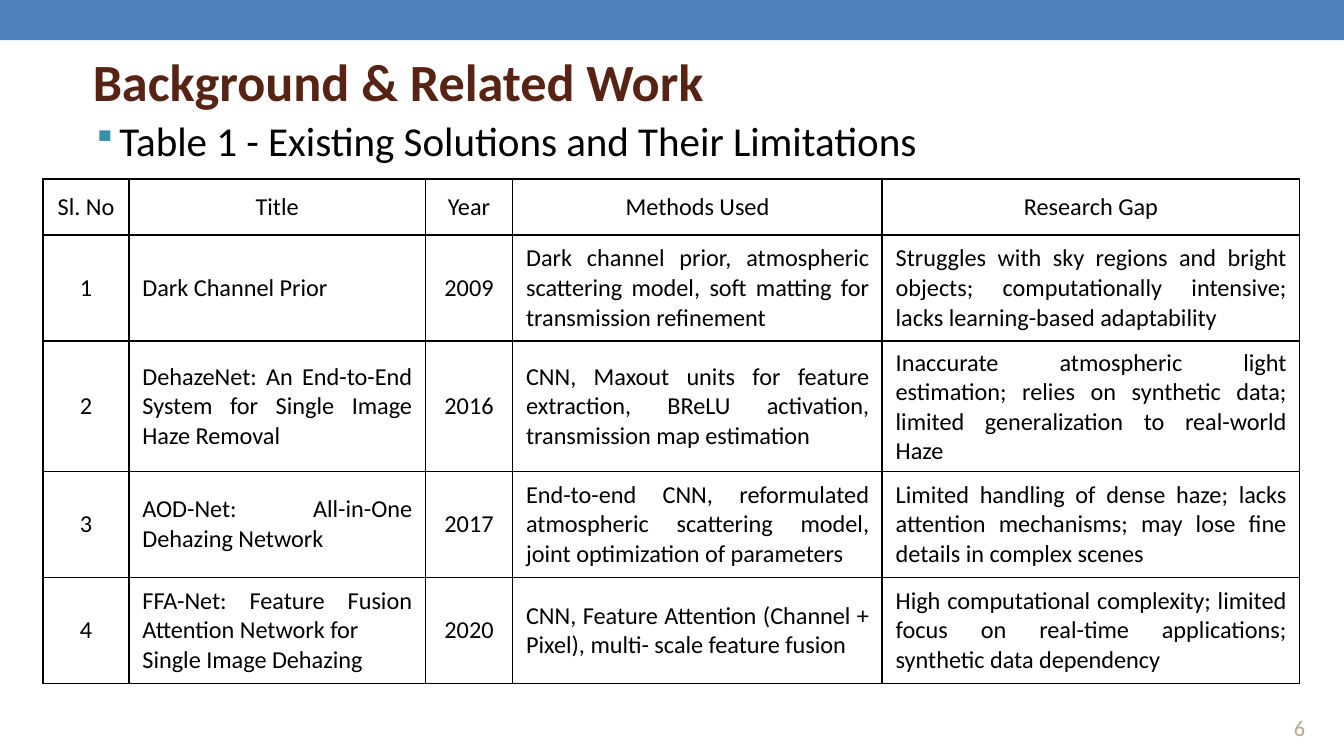
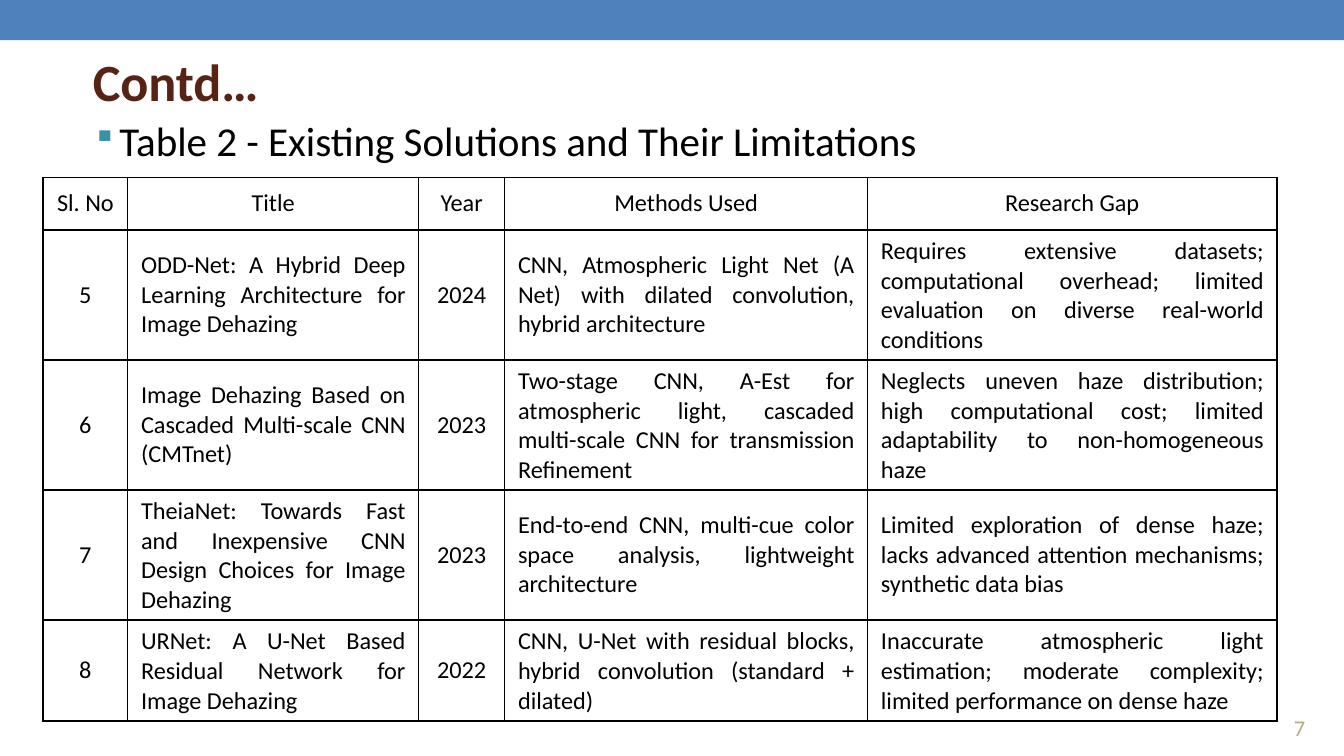
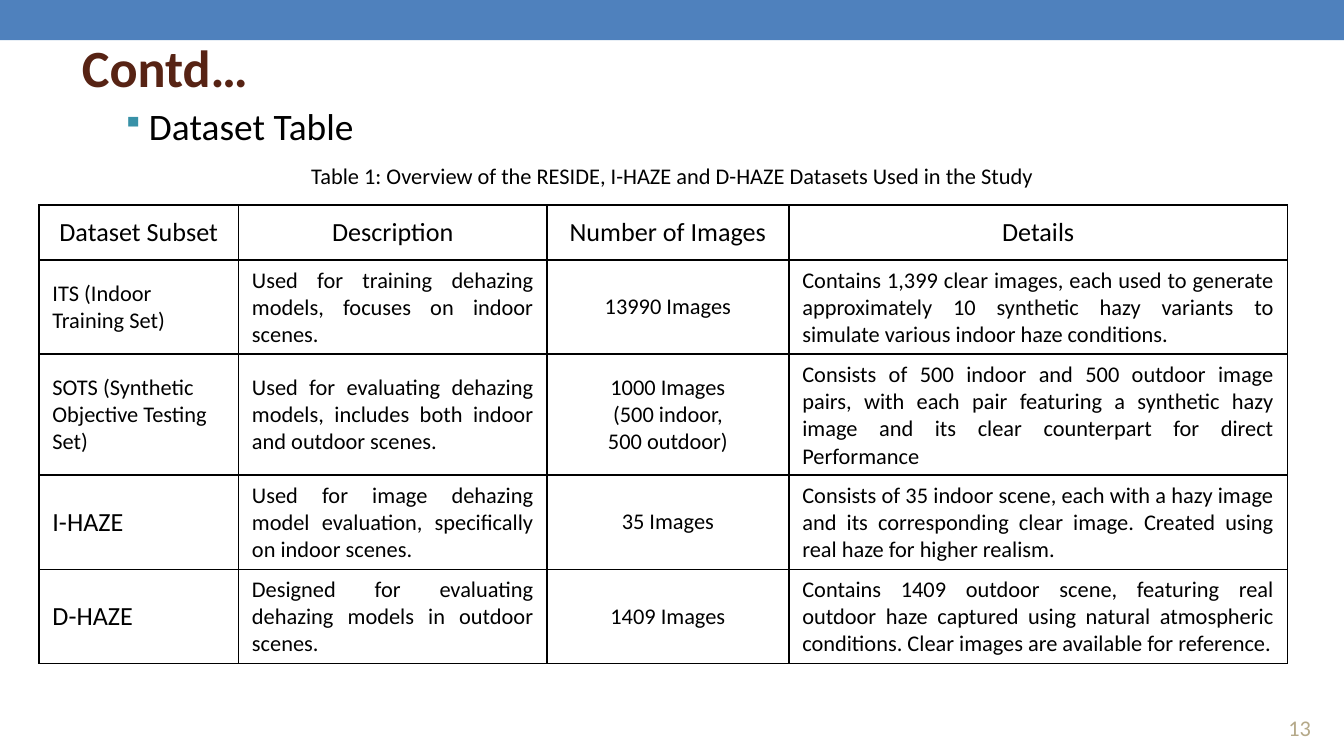
"""Build three table slides on image dehazing research."""
from dataclasses import dataclass
from typing import NamedTuple

from lxml import etree
from pptx import Presentation
from pptx import util as u
from pptx.dml import color as c
from pptx.enum import shapes, text as t
from pptx.oxml import ns
from pptx.slide import Slide
from pptx.text.text import TextFrame

EMU_PER_PX = 4572
SLIDE_WIDTH, SLIDE_HEIGHT = 2000, 1125
FONT = "Calibri"
BAND, TITLE, BULLET, NUMBER, INK = "4F81BD", "572314", "3891A7", "B5A989", "000000"
ALIGNMENTS = {
    "l": t.PP_ALIGN.LEFT,
    "c": t.PP_ALIGN.CENTER,
    "j": t.PP_ALIGN.JUSTIFY,
}
SURVEY_HEADER = ("Sl. No", "Title", "Year", "Methods Used", "Research Gap")


class Box(NamedTuple):
    left: int
    top: int
    width: int
    height: int

    def emu(self) -> list[u.Emu]:
        return [px(length) for length in self]


@dataclass
class Grid:
    box: Box
    columns: tuple[int, ...]
    rows: tuple[int, ...]
    alignments: str
    header: tuple[str, ...]
    body: list[tuple[str, ...]]
    header_size: int = 13
    body_size: int = 13
    large_labels: tuple[str, ...] = ()


@dataclass
class TableSlide:
    title: str
    subtitle: str
    number: int
    grid: Grid
    title_box: Box = Box(118, 56, 1814, 128)
    subtitle_box: Box = Box(118, 162, 1836, 78)
    subtitle_size: int = 22
    caption: str = ""


def px(length: int) -> u.Emu:
    return u.Emu(length * EMU_PER_PX)


def rgb(value: str) -> c.RGBColor:
    return c.RGBColor.from_string(value)


def add_bullet(paragraph) -> None:
    properties = paragraph._p.get_or_add_pPr()
    properties.set("marL", str(px(40)))
    properties.set("indent", str(px(-52)))
    bullet_color = etree.SubElement(properties, ns.qn("a:buClr"))
    etree.SubElement(bullet_color, ns.qn("a:srgbClr"), val=BULLET)
    etree.SubElement(properties, ns.qn("a:buSzPct"), val="80000")
    etree.SubElement(properties, ns.qn("a:buChar"), char="▪")


def write(frame: TextFrame, content: str, *, size: int, color: str = INK,
          bold: bool = False, align: str = "l", bullet: bool = False) -> None:
    frame.text = content
    for paragraph in frame.paragraphs:
        if bullet:
            add_bullet(paragraph)
        paragraph.alignment = ALIGNMENTS[align]
        for run in paragraph.runs:
            run.font.name = FONT
            run.font.size = u.Pt(size)
            run.font.bold = bold
            run.font.color.rgb = rgb(color)


def add_text(slide: Slide, box: Box, content: str, *, anchor=t.MSO_ANCHOR.TOP,
             wrap: bool = True, **text_format) -> None:
    frame = slide.shapes.add_textbox(*box.emu()).text_frame
    frame.word_wrap = wrap
    frame.vertical_anchor = anchor
    write(frame, content, **text_format)


def add_band(slide: Slide) -> None:
    box = Box(0, 0, SLIDE_WIDTH, 60)
    band = slide.shapes.add_shape(shapes.MSO_SHAPE.RECTANGLE, *box.emu())
    band.shadow.inherit = False
    band.fill.solid()
    band.fill.fore_color.rgb = rgb(BAND)
    band.line.fill.background()


def set_title(slide: Slide, box: Box, content: str) -> None:
    title = slide.shapes.title
    title.left, title.top, title.width, title.height = box.emu()
    frame = title.text_frame
    frame.word_wrap = True
    frame.auto_size = t.MSO_AUTO_SIZE.NONE
    frame.vertical_anchor = t.MSO_ANCHOR.MIDDLE
    write(frame, content, size=28, color=TITLE, bold=True)


def add_borders(cell) -> None:
    properties = cell._tc.get_or_add_tcPr()
    for position, side in enumerate(("lnL", "lnR", "lnT", "lnB")):
        line = etree.Element(ns.qn(f"a:{side}"), w=str(u.Pt(1)))
        fill = etree.SubElement(line, ns.qn("a:solidFill"))
        etree.SubElement(fill, ns.qn("a:srgbClr"), val=INK)
        properties.insert(position, line)


def add_grid(slide: Slide, grid: Grid) -> None:
    graphic = slide.shapes.add_table(len(grid.rows), len(grid.columns), *grid.box.emu())
    table = graphic.table
    table.first_row = table.horz_banding = False
    for column, width in zip(table.columns, grid.columns):
        column.width = px(width)
    for row, height in zip(table.rows, grid.rows):
        row.height = px(height)
    graphic.width, graphic.height = px(grid.box.width), px(grid.box.height)
    for row_index, values in enumerate([grid.header, *grid.body]):
        for column_index, value in enumerate(values):
            cell = table.cell(row_index, column_index)
            is_header = row_index == 0
            is_large = is_header or value in grid.large_labels
            cell.vertical_anchor = t.MSO_ANCHOR.MIDDLE
            cell.fill.background()
            add_borders(cell)
            write(cell.text_frame, value,
                  size=grid.header_size if is_large else grid.body_size,
                  align="c" if is_header else grid.alignments[column_index])


def add_table_slide(presentation, content: TableSlide) -> None:
    slide = presentation.slides.add_slide(presentation.slide_layouts[5])
    add_band(slide)
    set_title(slide, content.title_box, content.title)
    add_text(slide, content.subtitle_box, content.subtitle,
             size=content.subtitle_size, bullet=True)
    add_text(slide, Box(1884, 1035, 100, 78), str(content.number),
             anchor=t.MSO_ANCHOR.BOTTOM, size=12, color=NUMBER, align="c")
    add_grid(slide, content.grid)
    if content.caption:
        add_text(slide, Box(404, 232, 1194, 60), content.caption,
                 wrap=False, size=12, align="c")


SLIDES = [
    TableSlide(
        "Background & Related Work", "Table 1 - Existing Solutions and Their Limitations", 6,
        Grid(
            Box(64, 266, 1870, 714), (128, 441, 130, 550, 621), (84, 158, 158, 158, 158),
            "cjcjj", SURVEY_HEADER,
            [
                ("1", "Dark Channel Prior", "2009",
                 "Dark channel prior, atmospheric scattering model, soft matting for "
                 "transmission refinement",
                 "Struggles with sky regions and bright objects; computationally intensive; "
                 "lacks learning-based adaptability"),
                ("2", "DehazeNet: An End-to-End System for Single Image Haze Removal", "2016",
                 "CNN, Maxout units for feature extraction, BReLU activation, "
                 "transmission map estimation",
                 "Inaccurate atmospheric light estimation; relies on synthetic data; "
                 "limited generalization to real-world Haze"),
                ("3", "AOD-Net: All-in-One Dehazing Network", "2017",
                 "End-to-end CNN, reformulated atmospheric scattering model, "
                 "joint optimization of parameters",
                 "Limited handling of dense haze; lacks attention mechanisms; "
                 "may lose fine details in complex scenes"),
                ("4", "FFA-Net: Feature Fusion Attention Network for\nSingle Image Dehazing",
                 "2020",
                 "CNN, Feature Attention (Channel + Pixel), multi- scale feature fusion",
                 "High computational complexity; limited focus on real-time applications; "
                 "synthetic data dependency"),
            ],
        ),
    ),
    TableSlide(
        "Contd…", "Table 2 - Existing Solutions and Their Limitations", 7,
        Grid(
            Box(64, 264, 1836, 836), (126, 433, 128, 540, 609), (78, 188, 188, 188, 146),
            "cjcjj", SURVEY_HEADER,
            [
                ("5", "ODD-Net: A Hybrid Deep Learning Architecture for Image Dehazing", "2024",
                 "CNN, Atmospheric Light Net (A Net) with dilated convolution, "
                 "hybrid architecture",
                 "Requires extensive datasets; computational overhead; limited evaluation "
                 "on diverse real-world conditions"),
                ("6", "Image Dehazing Based on Cascaded Multi-scale CNN (CMTnet)", "2023",
                 "Two-stage CNN, A-Est for atmospheric light, cascaded multi-scale CNN "
                 "for transmission Refinement",
                 "Neglects uneven haze distribution; high computational cost; "
                 "limited adaptability to non-homogeneous haze"),
                ("7", "TheiaNet: Towards Fast and Inexpensive CNN Design Choices for "
                 "Image Dehazing", "2023",
                 "End-to-end CNN, multi-cue color space analysis, lightweight architecture",
                 "Limited exploration of dense haze; lacks advanced attention mechanisms; "
                 "synthetic data bias"),
                ("8", "URNet: A U-Net Based Residual Network for Image Dehazing", "2022",
                 "CNN, U-Net with residual blocks, hybrid convolution (standard + dilated)",
                 "Inaccurate atmospheric light estimation; moderate complexity; "
                 "limited performance on dense haze"),
            ],
        ),
    ),
    TableSlide(
        "Contd…", "Dataset Table", 13,
        Grid(
            Box(58, 305, 1858, 682), (297, 459, 360, 742), (82, 54, 82, 82, 82),
            "ljcj", ("Dataset Subset", "Description", "Number of Images", "Details"),
            [
                ("ITS (Indoor Training Set)",
                 "Used for training dehazing models, focuses on indoor scenes.",
                 "13990 Images",
                 "Contains 1,399 clear images, each used to generate approximately 10 "
                 "synthetic hazy variants to simulate various indoor haze conditions."),
                ("SOTS (Synthetic Objective Testing Set)",
                 "Used for evaluating dehazing models, includes both indoor and outdoor scenes.",
                 "1000 Images\n(500 indoor,\n500 outdoor)",
                 "Consists of 500 indoor and 500 outdoor image pairs, with each pair featuring "
                 "a synthetic hazy image and its clear counterpart for direct Performance"),
                ("I-HAZE",
                 "Used for image dehazing model evaluation, specifically on indoor scenes.",
                 "35 Images",
                 "Consists of 35 indoor scene, each with a hazy image and its corresponding "
                 "clear image. Created using real haze for higher realism."),
                ("D-HAZE",
                 "Designed for evaluating dehazing models in outdoor scenes.",
                 "1409 Images",
                 "Contains 1409 outdoor scene, featuring real outdoor haze captured using "
                 "natural atmospheric conditions. Clear images are available for reference."),
            ],
            header_size=14, body_size=12, large_labels=("I-HAZE", "D-HAZE"),
        ),
        title_box=Box(102, 42, 1814, 114),
        subtitle_box=Box(162, 144, 1718, 88),
        subtitle_size=20,
        caption="Table 1: Overview of the RESIDE, I-HAZE and D-HAZE Datasets Used in the Study",
    ),
]


def main() -> None:
    presentation = Presentation()
    presentation.slide_width = px(SLIDE_WIDTH)
    presentation.slide_height = px(SLIDE_HEIGHT)
    for content in SLIDES:
        add_table_slide(presentation, content)
    presentation.save("out.pptx")


if __name__ == "__main__":
    main()
